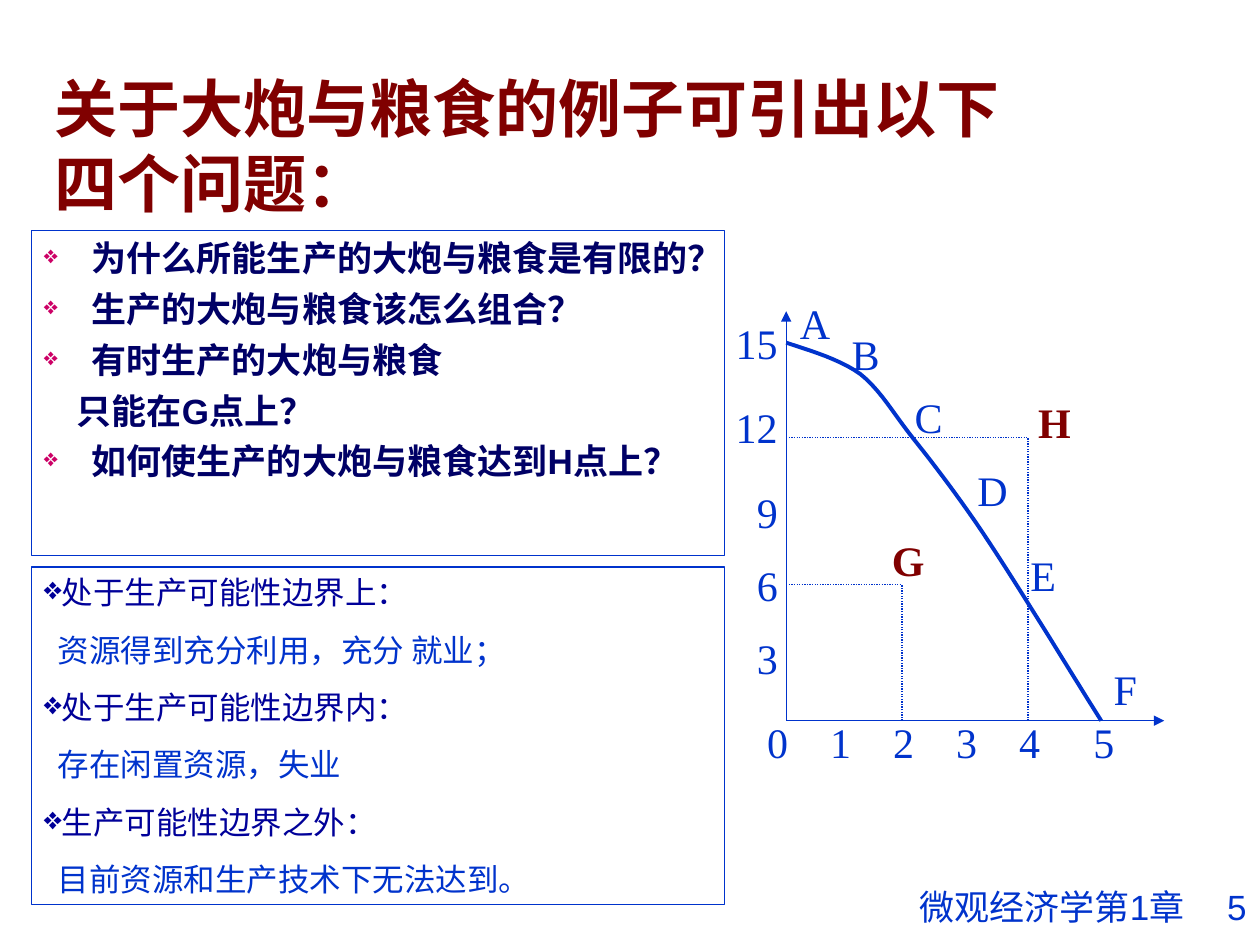
from dataclasses import dataclass

from lxml import etree
from pptx import Presentation
from pptx import util as u
from pptx.dml.color import RGBColor
from pptx.enum import dml, shapes, text
from pptx.oxml.ns import qn
from pptx.util import Inches


@dataclass(frozen=True)
class Theme:
    blue: str = "0033CC"
    navy: str = "000066"
    indigo: str = "000099"
    maroon: str = "800000"
    magenta: str = "CC0066"
    sans: str = "Arial"
    serif: str = "Times New Roman"
    title_size: int = 36
    label_size: int = 24
    question_size: int = 20
    answer_size: int = 18
    thin: float = 0.75
    thick: float = 2.25


theme = Theme()


def style_paragraph(paragraph, font_name, size, color, bold=False, bullet=None):
    """Format the runs; bullet is a (colour, percent) pair."""
    if bullet:
        properties = paragraph._p.get_or_add_pPr()
        bullet_color = etree.SubElement(properties, qn("a:buClr"))
        etree.SubElement(bullet_color, qn("a:srgbClr"), val=bullet[0])
        etree.SubElement(properties, qn("a:buSzPct"), val=str(bullet[1] * 1000))
        etree.SubElement(properties, qn("a:buChar"), char="❖")
    for run in paragraph.runs:
        run.font.name = font_name
        run.font.size = u.Pt(size)
        run.font.bold = bold
        run.font.color.rgb = RGBColor.from_string(color)


def add_line(start, end, arrow=False, dashed=False):
    line = slide.shapes.add_connector(
        shapes.MSO_CONNECTOR.STRAIGHT, *map(Inches, start + end))
    line.line.color.rgb = RGBColor.from_string(theme.blue)
    line.line.width = u.Pt(theme.thin)
    if dashed:
        line.line.dash_style = dml.MSO_LINE.ROUND_DOT
    if arrow:
        etree.SubElement(line.line._get_or_add_ln(), qn("a:tailEnd"), type="triangle")
    etree.SubElement(line._element.spPr, qn("a:effectLst"))


presentation = Presentation()
presentation.slide_width, presentation.slide_height = Inches(10), Inches(7.5)
slide = presentation.slides.add_slide(presentation.slide_layouts[5])

# Title
title = slide.shapes.title
title.left, title.top, title.width, title.height = map(Inches, (0.33, 0.75, 7.98, 0.8))
title.text_frame.text = "关于大炮与粮食的例子可引出以下四个问题："
title.text_frame.auto_size = text.MSO_AUTO_SIZE.NONE
title.text_frame.vertical_anchor = text.MSO_ANCHOR.MIDDLE
title.text_frame.paragraphs[0].alignment = text.PP_ALIGN.LEFT
style_paragraph(title.text_frame.paragraphs[0], theme.sans, theme.title_size,
                theme.maroon, bold=True)

# Footer with page number at a tab stop
footer = slide.shapes.add_textbox(Inches(7.2), Inches(6.98), Inches(2.8), Inches(0.52))
footer.text_frame.word_wrap = True
footer.text_frame.margin_right = 0
paragraph = footer.text_frame.paragraphs[0]
paragraph.text = "微观经济学第1章\t5"
tab_list = etree.SubElement(paragraph._p.get_or_add_pPr(), qn("a:tabLst"))
etree.SubElement(tab_list, qn("a:tab"), pos=str(Inches(2.44)), algn="l")
style_paragraph(paragraph, theme.sans, theme.question_size, theme.blue)

# Framed boxes: questions above, answers below
questions = [
    ("为什么所能生产的大炮与粮食是有限的？", True),
    ("生产的大炮与粮食该怎么组合？", True),
    ("有时生产的大炮与粮食", True),
    ("只能在G点上？", False),
    ("如何使生产的大炮与粮食达到H点上？", True),
]
answers = [
    ("处于生产可能性边界上：", True),
    ("资源得到充分利用，充分 就业；", False),
    ("处于生产可能性边界内：", True),
    ("存在闲置资源，失业", False),
    ("生产可能性边界之外：", True),
    ("目前资源和生产技术下无法达到。", False),
]
# top, height, lines, font, size, bold, bulleted colour, plain colour,
# bullet, space before, hanging indent, plain indent
boxes = [
    (1.83, 2.58, questions, theme.sans, theme.question_size, True, theme.navy,
     theme.navy, (theme.magenta, 70), 5, 0.38, 0.26),
    (4.5, 2.68, answers, theme.serif, theme.answer_size, False, theme.indigo,
     theme.blue, (theme.indigo, 100), 11.2, 0, 0.11),
]
for (top, height, lines, font_name, size, bold, bulleted_color, plain_color,
     bullet, space, hanging, plain_indent) in boxes:
    box = slide.shapes.add_shape(shapes.MSO_SHAPE.RECTANGLE, Inches(0.25),
                                 Inches(top), Inches(5.5), Inches(height))
    box.shadow.inherit = False
    box.fill.background()
    box.line.color.rgb = RGBColor.from_string(theme.blue)
    box.line.width = u.Pt(theme.thin)
    frame = box.text_frame
    frame.word_wrap = True
    frame.vertical_anchor = text.MSO_ANCHOR.TOP
    frame.text = "\n".join(line for line, _ in lines)
    for index, (paragraph, (_, bulleted)) in enumerate(zip(frame.paragraphs, lines)):
        paragraph.alignment = text.PP_ALIGN.LEFT
        if index:
            paragraph.space_before = u.Pt(space)
        properties = paragraph._p.get_or_add_pPr()
        properties.set("marL", str(Inches(hanging if bulleted else plain_indent)))
        properties.set("indent", str(Inches(-hanging if bulleted else 0)))
        style_paragraph(paragraph, font_name, size,
                        bulleted_color if bulleted else plain_color, bold,
                        bullet if bulleted else None)

# Axes
origin_x, origin_y = 6.24, 5.72
add_line((origin_x, origin_y), (origin_x, 2.47), arrow=True)
add_line((origin_x, origin_y), (9.24, origin_y), arrow=True)

# Dashed guides to G and H
for guide_x, guide_y in [(7.16, 4.64), (8.16, 3.47)]:
    add_line((origin_x, guide_y), (guide_x, guide_y), dashed=True)
    add_line((guide_x, origin_y), (guide_x, guide_y), dashed=True)

# Production possibility curve, sampled from cubic segments
curve_start = (origin_x, 2.72)
segments = [
    ((6.45, 2.79), (6.66, 2.85), (6.83, 2.97)),
    ((6.99, 3.1), (7.09, 3.28), (7.24, 3.47)),
    ((7.4, 3.67), (7.56, 3.88), (7.74, 4.14)),
    ((7.92, 4.4), (8.16, 4.79), (8.33, 5.06)),
    ((8.49, 5.32), (8.67, 5.61), (8.74, origin_y)),
]
steps = 10
points = []
start = curve_start
for first, second, end in segments:
    for step in range(1, steps + 1):
        t = step / steps
        s = 1 - t
        points.append(tuple(
            Inches(s**3 * a + 3 * s * s * t * b + 3 * s * t * t * c + t**3 * d)
            for a, b, c, d in zip(start, first, second, end)))
    start = end
builder = slide.shapes.build_freeform(*map(Inches, curve_start), scale=1.0)
builder.add_line_segments(points, close=False)
curve = builder.convert_to_shape()
curve.shadow.inherit = False
curve.fill.background()
curve.line.color.rgb = RGBColor.from_string(theme.blue)
curve.line.width = u.Pt(theme.thick)

# Axis, curve and point labels: text, left, top, width, colour
digit, two_digits = 0.36, 0.53
labels = [(str(number), left, 5.64, digit, theme.blue)
          for number, left in enumerate([5.99, 6.49, 6.99, 7.49, 7.99, 8.58])]
labels += [(number, 6.27 - width, top, width, theme.blue) for number, top, width in [
    ("3", 4.97, digit), ("6", 4.39, digit), ("9", 3.81, digit),
    ("12", 3.14, two_digits), ("15", 2.47, two_digits)]]
labels += [
    ("A", 6.25, 2.31, 0.44, theme.blue),
    ("B", 6.66, 2.56, 0.42, theme.blue),
    ("C", 7.16, 3.06, 0.42, theme.blue),
    ("D", 7.66, 3.64, 0.44, theme.blue),
    ("E", 8.08, 4.31, 0.4, theme.blue),
    ("F", 8.74, 5.22, 0.38, theme.blue),
    ("G", 6.98, 4.19, 0.46, theme.maroon),
    ("H", 8.14, 3.1, 0.46, theme.maroon),
]
for label, left, top, width, color in labels:
    box = slide.shapes.add_textbox(*map(Inches, (left, top, width, 0.5)))
    box.text_frame.word_wrap = False
    box.text_frame.text = label
    style_paragraph(box.text_frame.paragraphs[0], theme.serif, theme.label_size,
                    color, bold=color == theme.maroon)

presentation.save("out.pptx")
